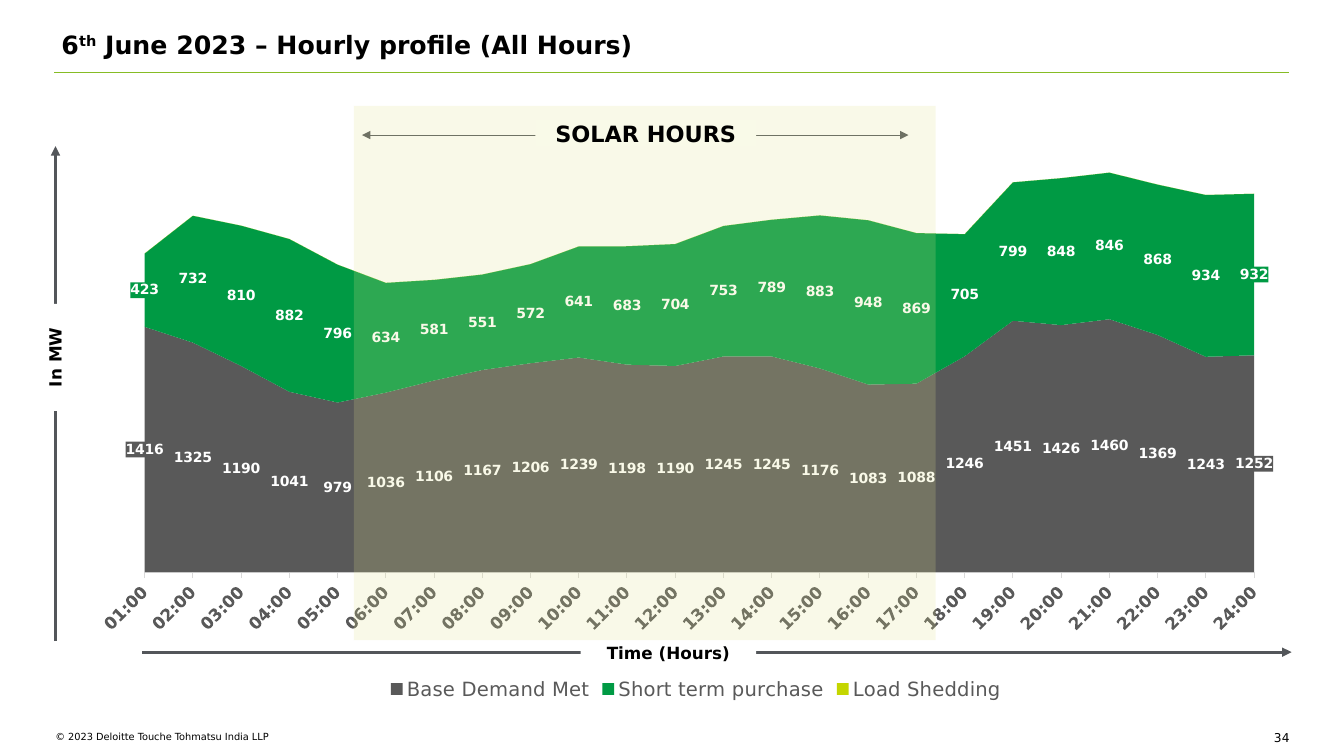
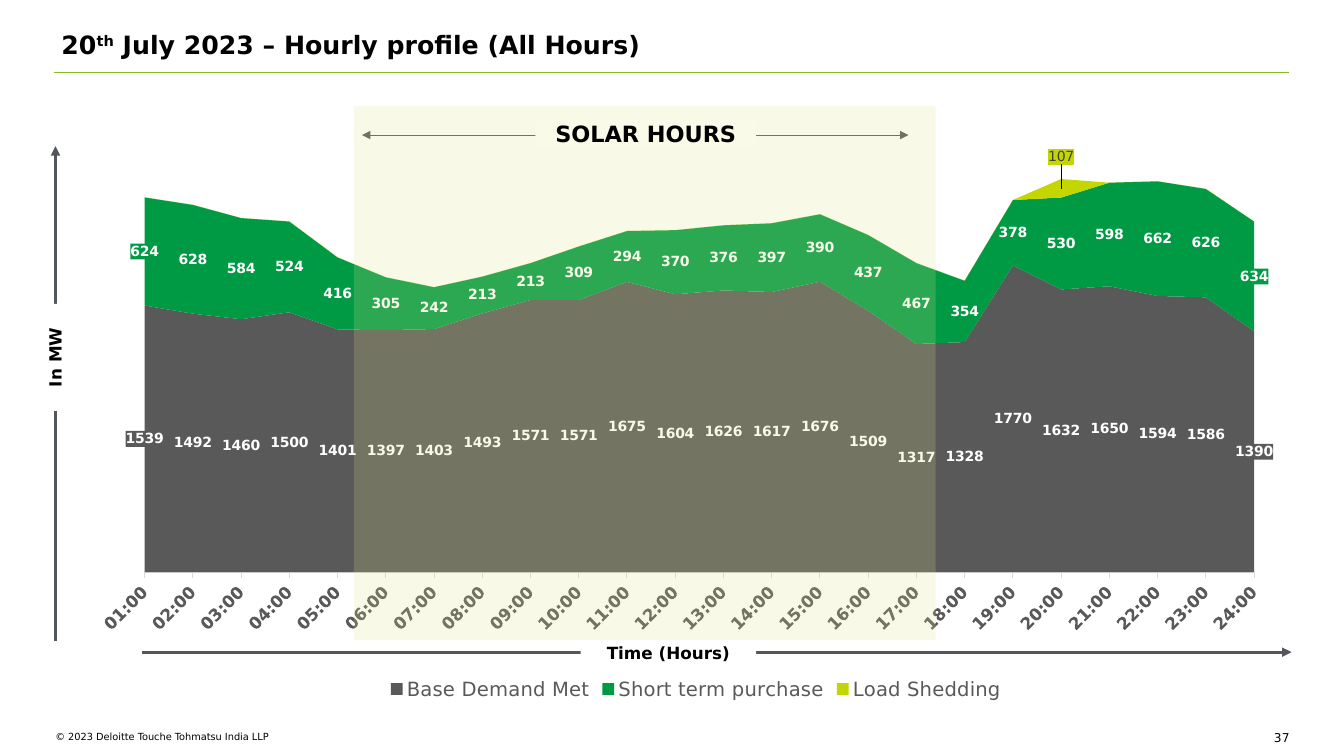
from dataclasses import dataclass

from lxml import etree
from pptx import Presentation
from pptx.chart.data import CategoryChartData
from pptx.dml.color import RGBColor
from pptx.enum.chart import XL_CHART_TYPE, XL_LEGEND_POSITION, XL_TICK_MARK
from pptx.enum.shapes import MSO_CONNECTOR, MSO_SHAPE
from pptx.enum.text import MSO_ANCHOR, PP_ALIGN
from pptx.oxml import parse_xml
from pptx.oxml.ns import nsdecls, qn
from pptx.util import Inches, Pt

AREA_STACKED = XL_CHART_TYPE.AREA_STACKED
LEGEND_BOTTOM = XL_LEGEND_POSITION.BOTTOM
TICK_OUTSIDE, TICK_NONE = XL_TICK_MARK.OUTSIDE, XL_TICK_MARK.NONE
STRAIGHT = MSO_CONNECTOR.STRAIGHT
RECTANGLE = MSO_SHAPE.RECTANGLE
TOP, MIDDLE = MSO_ANCHOR.TOP, MSO_ANCHOR.MIDDLE
LEFT, CENTER, RIGHT = PP_ALIGN.LEFT, PP_ALIGN.CENTER, PP_ALIGN.RIGHT


@dataclass(frozen=True)
class Theme:
    font: str = "DejaVu Sans"
    text: str = "000000"
    paper: str = "FFFFFF"
    rule: str = "86BC25"
    arrow: str = "53565A"
    base: str = "595959"
    purchase: str = "009A44"
    shedding: str = "C4D600"
    shedding_text: str = "404040"
    axis_text: str = "595959"
    axis_line: str = "D9D9D9"
    solar: str = "E3E48D"
    solar_label: str = "F9FAE8"
    title_size: float = 18
    solar_size: float = 16
    legend_size: float = 14
    axis_size: float = 12
    value_size: float = 10
    number_size: float = 8.7
    footer_size: float = 7


@dataclass(frozen=True)
class Box:
    left: float
    top: float
    width: float
    height: float

    def inner(self, left, top, width, height):
        return Box(self.left + left, self.top + top, width, height)

    def inches(self):
        return [Inches(v) for v in (self.left, self.top, self.width, self.height)]


THEME = Theme()
PAGE = Box(0, 0, 13.33, 7.5)
CHART = Box(0.99, 0.77, 11.79, 6.22)
SOLAR = Box(3.51, 1.05, 5.77, 5.3)
HOURS = [f"{hour:02}:00" for hour in range(1, 25)]
PEAK_MW = 2500

PROFILES = [
    {
        "day": "6", "rest": " June 2023 – Hourly profile (All Hours)", "number": "34",
        "base": [1416, 1325, 1190, 1041, 979, 1036, 1106, 1167, 1206, 1239, 1198, 1190,
                 1245, 1245, 1176, 1083, 1088, 1246, 1451, 1426, 1460, 1369, 1243, 1252],
        "purchase": [423, 732, 810, 882, 796, 634, 581, 551, 572, 641, 683, 704,
                     753, 789, 883, 948, 869, 705, 799, 848, 846, 868, 934, 932],
        "shedding": {},
    },
    {
        "day": "20", "rest": " July 2023 – Hourly profile (All Hours)", "number": "37",
        "base": [1539, 1492, 1460, 1500, 1401, 1397, 1403, 1493, 1571, 1571, 1675, 1604,
                 1626, 1617, 1676, 1509, 1317, 1328, 1770, 1632, 1650, 1594, 1586, 1390],
        "purchase": [624, 628, 584, 524, 416, 305, 242, 213, 213, 309, 294, 370,
                     376, 397, 390, 437, 467, 354, 378, 530, 598, 662, 626, 634],
        "shedding": {19: 107},
    },
]


def style_font(font, size, color=THEME.text, bold=False):
    font.name = THEME.font
    font.size = Pt(size)
    font.bold = bold
    font.color.rgb = RGBColor.from_string(color)


def fill_solid(target, color):
    target.fill.solid()
    target.fill.fore_color.rgb = RGBColor.from_string(color)


def write(shape, texts, size, bold=False, align=LEFT, anchor=TOP, inset=0.0):
    frame = shape.text_frame
    frame.word_wrap = True
    frame.vertical_anchor = anchor
    frame.margin_left = frame.margin_right = Inches(inset)
    frame.margin_top = frame.margin_bottom = Inches(inset)
    paragraph = frame.paragraphs[0]
    paragraph.alignment = align
    runs = []
    for text in texts:
        run = paragraph.add_run()
        run.text = text
        style_font(run.font, size, bold=bold)
        runs.append(run)
    return runs


def add_text(slide, box, texts, size, **options):
    return write(slide.shapes.add_textbox(*box.inches()), texts, size, **options)


def add_panel(shapes, box, color):
    panel = shapes.add_shape(RECTANGLE, *box.inches())
    panel.shadow.inherit = False
    fill_solid(panel, color)
    panel.line.fill.background()
    return panel


def add_label(shapes, box, text, size, color):
    label = add_panel(shapes, box, color)
    write(label, [text], size, bold=True, align=CENTER, anchor=MIDDLE, inset=0.1)
    label.text_frame.paragraphs[0].line_spacing = 1.06
    return label


def add_line(shapes, start, end, color, width, ends=()):
    line = shapes.add_connector(STRAIGHT, *[Inches(v) for v in (*start, *end)])
    line.line.color.rgb = RGBColor.from_string(color)
    line.line.width = Pt(width)
    outline = line.line._get_or_add_ln()
    for end_name in ends:
        etree.SubElement(outline, qn(f"a:{end_name}"), type="triangle")
    etree.SubElement(line._element.spPr, qn("a:effectLst"))


def add_frame(slide, page, profile):
    title = add_text(slide, page.inner(0.61, 0.29, 12.21, 0.38),
                     [profile["day"], "th", profile["rest"]], THEME.title_size, bold=True)
    title[1]._r.get_or_add_rPr().set("baseline", "30000")
    rule_y = page.top + 0.72
    add_line(slide.shapes, (page.left + 0.54, rule_y), (page.left + 12.78, rule_y),
             THEME.rule, 1)
    add_text(slide, page.inner(0.55, 7.25, 5.86, 0.22),
             ["© 2023 Deloitte Touche Tohmatsu India LLP"], THEME.footer_size)
    add_text(slide, page.inner(12.45, 7.25, 0.34, 0.11), [profile["number"]],
             THEME.number_size, align=RIGHT)


def manual_layout(**values):
    items = "".join(
        f'<c:{key} val="{value}"/>' for key, value in values.items())
    return parse_xml(f'<c:layout {nsdecls("c")}><c:manualLayout>{items}'
                     "</c:manualLayout></c:layout>")


def back_labels(label_element, color):
    label_element.find(qn("c:txPr")).addprevious(parse_xml(
        f'<c:spPr {nsdecls("c", "a")}><a:solidFill><a:srgbClr val="{color}"/>'
        "</a:solidFill></c:spPr>"))


def label_values(series, color):
    labels = series.data_labels
    labels.show_value = True
    labels.number_format = "0"
    labels.number_format_is_linked = False
    style_font(labels.font, THEME.value_size, THEME.paper, bold=True)
    back_labels(labels._element, color)


def label_shedding(series, hours):
    series.data_labels.show_value = False
    for hour in hours:
        style_font(series.points[hour].data_label.font, THEME.value_size,
                   THEME.shedding_text)
    for label in series._element.iter(qn("c:dLbl")):
        back_labels(label, THEME.shedding)
        label.find(qn("c:idx")).addnext(manual_layout(x=0, y=-0.05))


def style_axes(chart):
    hours = chart.category_axis
    hours.has_major_gridlines = False
    hours.major_tick_mark = TICK_OUTSIDE
    hours.minor_tick_mark = TICK_NONE
    style_font(hours.tick_labels.font, THEME.axis_size, THEME.axis_text, bold=True)
    hours._element.find(qn("c:txPr")).find(qn("a:bodyPr")).set("rot", "-2700000")
    hours.format.line.color.rgb = RGBColor.from_string(THEME.axis_line)
    hours.format.line.width = Pt(0.75)
    demand = chart.value_axis
    demand.has_major_gridlines = False
    demand.minimum_scale = 0
    demand.maximum_scale = PEAK_MW
    demand.visible = False
    demand._element.find(qn("c:crossBetween")).set("val", "midCat")


def add_profile_chart(slide, box, profile):
    shedding = profile["shedding"]
    data = CategoryChartData(number_format="0")
    data.categories = HOURS
    data.add_series("Base Demand Met", profile["base"])
    data.add_series("Short term purchase", profile["purchase"])
    data.add_series("Load Shedding", [shedding.get(i, 0) for i in range(len(HOURS))])
    chart = slide.shapes.add_chart(AREA_STACKED, *box.inches(), data).chart
    style_font(chart.font, THEME.value_size)
    chart.has_title = False
    chart.has_legend = True
    chart.legend.position = LEGEND_BOTTOM
    chart.legend.include_in_layout = False
    style_font(chart.legend.font, THEME.legend_size, THEME.axis_text)
    style_axes(chart)

    plot = chart.plots[0]
    plot.vary_by_categories = False
    colors = (THEME.base, THEME.purchase, THEME.shedding)
    for series, color in zip(plot.series, colors):
        fill_solid(series.format, color)
        series.format.line.fill.background()
    for series, color in list(zip(plot.series, colors))[:2]:
        label_values(series, color)
    if shedding:
        label_shedding(plot.series[2], shedding)

    plot_area = chart._chartSpace.chart.plotArea
    for layout in plot_area.findall(qn("c:layout")):
        plot_area.remove(layout)
    plot_area.insert(0, manual_layout(layoutTarget="inner", xMode="edge", yMode="edge",
                                      x=0.035, y=0.098, w=0.936, h=0.691))


def add_axis_arrows(slide, box):
    shapes = slide.shapes
    time_y, demand_x = box.top + 5.7, box.left - 0.44
    add_line(shapes, (box.left + 0.42, time_y), (box.left + 11.82, time_y),
             THEME.arrow, 2.25, ["tailEnd"])
    add_line(shapes, (demand_x, box.top + 5.59), (demand_x, box.top + 0.68),
             THEME.arrow, 2.25, ["tailEnd"])
    add_label(shapes, box.inner(4.77, 5.57, 1.74, 0.26), "Time (Hours)",
              THEME.axis_size, THEME.paper)
    demand = add_label(shapes, box.inner(-0.98, 2.57, 1.06, 0.41), "In MW",
                       THEME.axis_size, THEME.paper)
    demand.rotation = 270


def add_solar_band(slide, box):
    shapes = slide.shapes.add_group_shape().shapes
    arrow_y = box.top + 0.29
    add_line(shapes, (box.left + 0.08, arrow_y), (box.left + 5.5, arrow_y),
             THEME.arrow, 0.75, ["headEnd", "tailEnd"])
    band = add_panel(shapes, box, THEME.solar)
    tint = band._element.spPr.find(qn("a:solidFill")).find(qn("a:srgbClr"))
    etree.SubElement(tint, qn("a:alpha"), val="20000")
    add_label(shapes, box.inner(1.8, 0.14, 2.19, 0.26), "SOLAR HOURS",
              THEME.solar_size, THEME.solar_label)


def add_profile_slide(deck, profile):
    slide = deck.slides.add_slide(deck.slide_layouts[6])
    add_frame(slide, PAGE, profile)
    add_profile_chart(slide, CHART, profile)
    add_axis_arrows(slide, CHART)
    add_solar_band(slide, SOLAR)


def main():
    deck = Presentation()
    deck.slide_width, deck.slide_height = Inches(PAGE.width), Inches(PAGE.height)
    for profile in PROFILES:
        add_profile_slide(deck, profile)
    deck.save("out.pptx")


if __name__ == "__main__":
    main()
